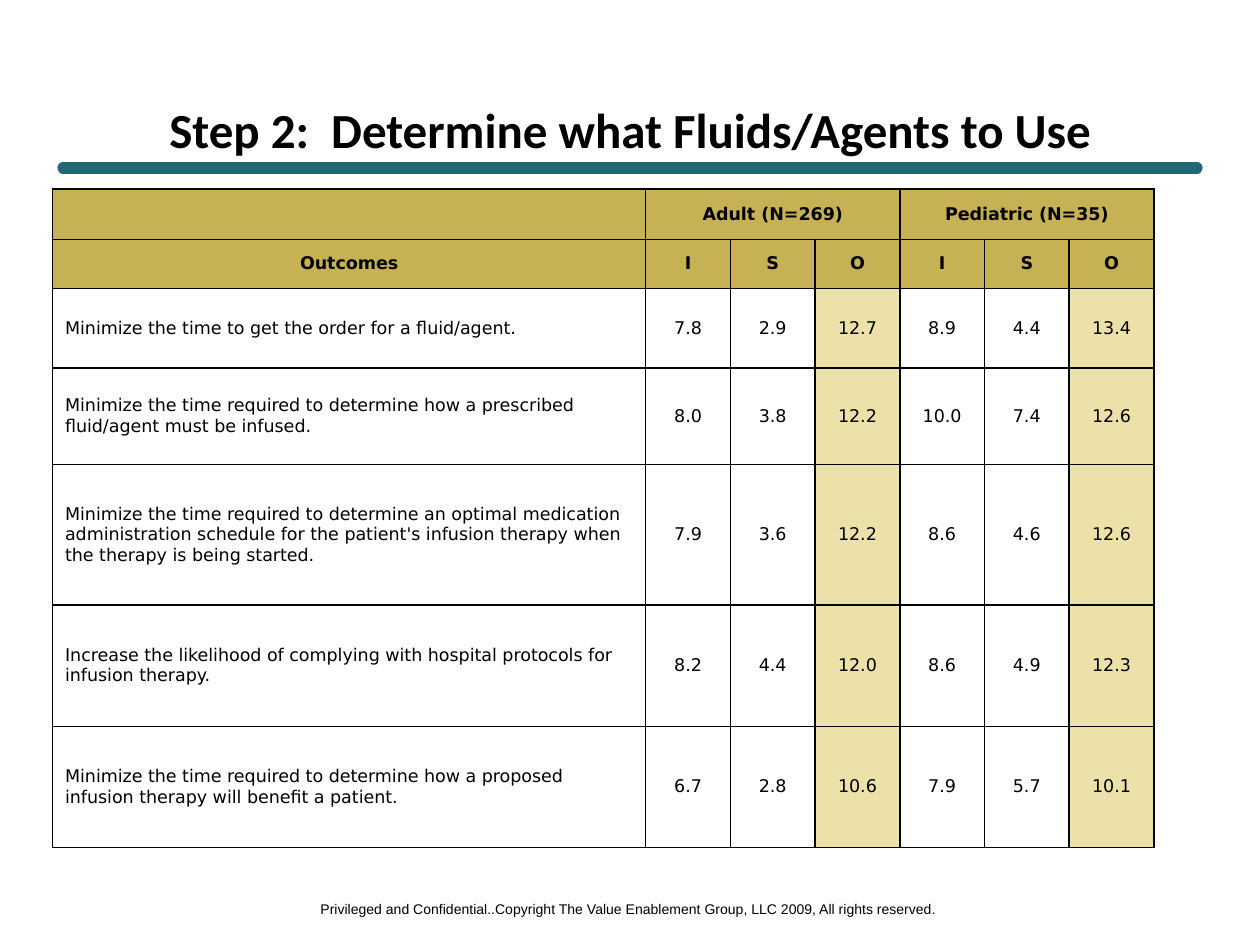
from lxml.etree import SubElement
from pptx import Presentation
from pptx.dml.color import RGBColor
from pptx.enum.shapes import MSO_CONNECTOR
from pptx.enum.text import MSO_ANCHOR, PP_ALIGN
from pptx.oxml.ns import qn
from pptx.util import Pt

BLACK = RGBColor(0x00, 0x00, 0x00)
TEAL = RGBColor(0x21, 0x67, 0x78)
GOLD = RGBColor(0xC6, 0xB1, 0x54)
PALE_GOLD = RGBColor(0xEC, 0xE2, 0xA9)

COLUMN_WIDTHS = [339] + [48.4] * 6
ROW_HEIGHTS = [28, 28, 45.5, 55, 80.5, 69.3, 69.3]
SCORE_COLUMNS = (3, 6)
HEADER_ROWS = 2

ROWS = [
    ["", "Adult (N=269)", "", "", "Pediatric (N=35)", "", ""],
    ["Outcomes", "I", "S", "O", "I", "S", "O"],
    ["Minimize the time to get the order for a fluid/agent.",
     "7.8", "2.9", "12.7", "8.9", "4.4", "13.4"],
    ["Minimize the time required to determine how a prescribed "
     "fluid/agent must be infused.",
     "8.0", "3.8", "12.2", "10.0", "7.4", "12.6"],
    ["Minimize the time required to determine an optimal medication "
     "administration schedule for the patient's infusion therapy when "
     "the therapy is being started.",
     "7.9", "3.6", "12.2", "8.6", "4.6", "12.6"],
    ["Increase the likelihood of complying with hospital protocols for "
     "infusion therapy.",
     "8.2", "4.4", "12.0", "8.6", "4.9", "12.3"],
    ["Minimize the time required to determine how a proposed "
     "infusion therapy will benefit a patient.",
     "6.7", "2.8", "10.6", "7.9", "5.7", "10.1"],
]


def write(tf, text, font="DejaVu Sans", size=10, bold=False,
          align=PP_ALIGN.CENTER, color=BLACK):
    p = tf.paragraphs[0]
    p.alignment = align
    r = p.add_run()
    r.text = text
    r.font.name = font
    r.font.size = Pt(size)
    r.font.bold = bold
    r.font.color.rgb = color


def add_borders(cell, width=1, color=BLACK):
    """Draw all four edges; call before filling, as the schema orders it."""
    tc_pr = cell._tc.get_or_add_tcPr()
    for edge in ("a:lnL", "a:lnR", "a:lnT", "a:lnB"):
        ln = SubElement(tc_pr, qn(edge), w=str(Pt(width)))
        fill = SubElement(ln, qn("a:solidFill"))
        SubElement(fill, qn("a:srgbClr"), val=str(color))


class SlideBuilder:
    def __init__(self, slide):
        self.s = slide

    def text(self, x, y, w, h, text, wrap=True, **style):
        tf = self.s.shapes.add_textbox(Pt(x), Pt(y), Pt(w), Pt(h)).text_frame
        tf.word_wrap = wrap
        tf.vertical_anchor = MSO_ANCHOR.MIDDLE
        write(tf, text, **style)

    def rule(self, x1, x2, y, color, width):
        """Draw a horizontal line with rounded ends."""
        line = self.s.shapes.add_connector(
            MSO_CONNECTOR.STRAIGHT, Pt(x1), Pt(y), Pt(x2), Pt(y))
        line.line.color.rgb = color
        line.line.width = Pt(width)
        sp_pr = line._element.spPr
        sp_pr.find(qn("a:ln")).set("cap", "rnd")
        SubElement(sp_pr, qn("a:effectLst"))

    def table(self, x, y, rows, widths, heights):
        table = self.s.shapes.add_table(
            len(rows), len(widths), Pt(x), Pt(y),
            Pt(sum(widths)), Pt(sum(heights))).table
        table.first_row = table.horz_banding = False
        for column, width in zip(table.columns, widths):
            column.width = Pt(width)
        for row, height in zip(table.rows, heights):
            row.height = Pt(height)
        for first in (1, 4):
            table.cell(0, first).merge(table.cell(0, first + 2))
        for i, row in enumerate(rows):
            for j, text in enumerate(row):
                self.cell(table.cell(i, j), text, i < HEADER_ROWS, j)

    def cell(self, cell, text, header, column):
        add_borders(cell)
        if header or column in SCORE_COLUMNS:
            cell.fill.solid()
            cell.fill.fore_color.rgb = GOLD if header else PALE_GOLD
        else:
            cell.fill.background()
        cell.vertical_anchor = MSO_ANCHOR.MIDDLE
        if text:
            centered = header or column > 0
            write(cell.text_frame, text, bold=header,
                  align=PP_ALIGN.CENTER if centered else PP_ALIGN.LEFT)


def main():
    prs = Presentation()
    prs.slide_width, prs.slide_height = Pt(720), Pt(540)
    b = SlideBuilder(prs.slides.add_slide(prs.slide_layouts[6]))
    b.rule(36, 684, 96, TEAL, 6.5)
    b.text(173.5, 510.5, 371.5, 17.5,
           "Privileged and Confidential..Copyright The Value Enablement "
           "Group, LLC 2009, All rights reserved.",
           wrap=False, font="Arial", size=8)
    b.text(36, 60, 648, 27, "Step 2:  Determine what Fluids/Agents to Use",
           font="Calibri", size=28, bold=True)
    b.table(30, 108, ROWS, COLUMN_WIDTHS, ROW_HEIGHTS)
    prs.save("out.pptx")


if __name__ == "__main__":
    main()
